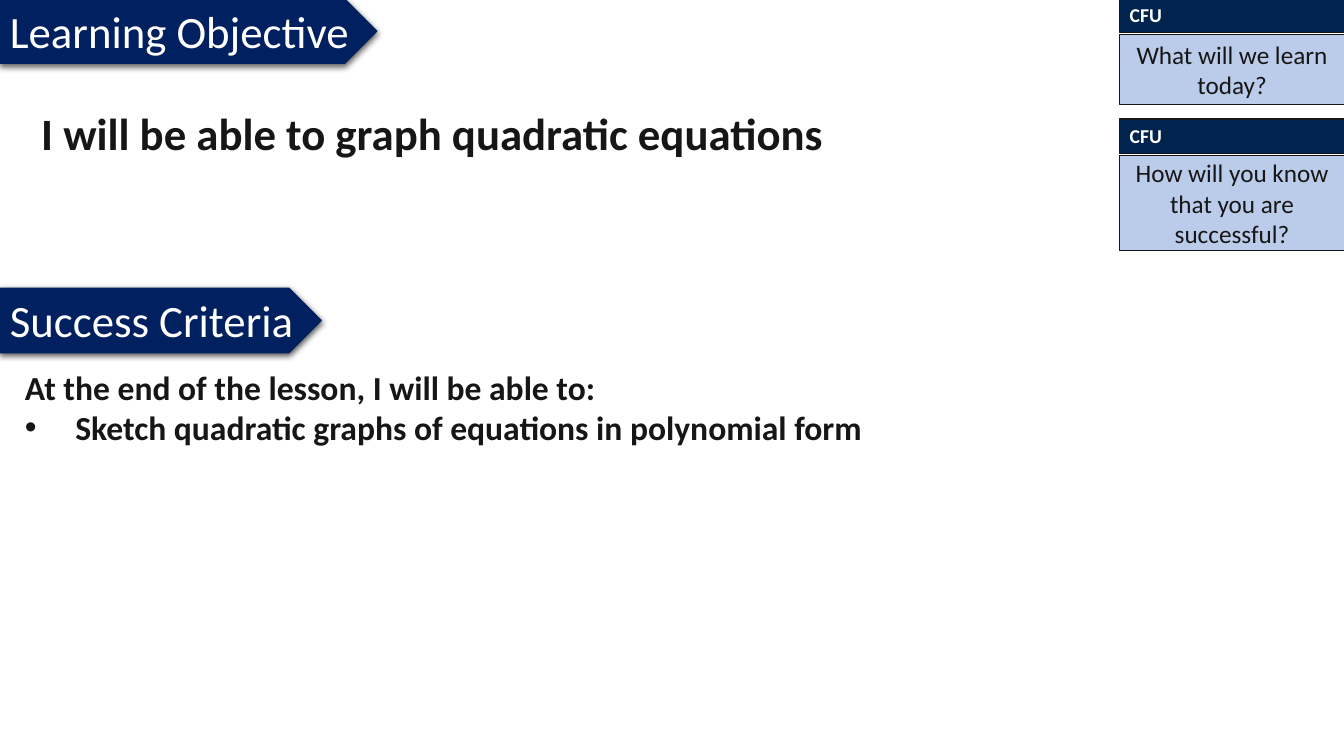
from dataclasses import dataclass

from lxml import etree
from pptx import Presentation
from pptx import util as u
from pptx.dml.color import RGBColor
from pptx.enum import shapes, text
from pptx.oxml import ns

COLORS = {
    "ink": "171616",
    "white": "FFFFFF",
    "banner": "002060",
    "header": "01244E",
    "question": "8FAADC",
    "shadow": "000000",
}
FONT = "Calibri"
CARD_LEFT, CARD_WIDTH = 28.22, 5.66
HEADER_HEIGHT, QUESTION_OFFSET = 0.86, 0.91


@dataclass
class Box:
    left: float
    top: float
    width: float
    height: float

    def lengths(self) -> list:
        return [u.Cm(v) for v in (self.left, self.top, self.width, self.height)]


@dataclass
class Style:
    size: int
    color: str
    bold: bool = False


@dataclass
class Banner:
    title: str
    box: Box


@dataclass
class Card:
    question: str
    top: float
    height: float


HEADING = Style(32, "white")
OBJECTIVE = Style(32, "ink", True)
CRITERIA = Style(24, "ink", True)
LABEL = Style(14, "white", True)
QUESTION = Style(18, "ink")

BANNERS = [
    Banner("Learning Objective", Box(0, -0.03, 9.5, 1.63)),
    Banner("Success Criteria", Box(0, 7.26, 8.1, 1.63)),
]
CARDS = [
    Card("What will we learn today?", -0.05, 1.78),
    Card("How will you know that you are successful?", 3, 2.41),
]


def rgb(name: str) -> RGBColor:
    return RGBColor.from_string(COLORS[name])


def add_run(p, words: str, style: Style) -> None:
    r = p.add_run()
    r.text = words
    r.font.name = FONT
    r.font.size = u.Pt(style.size)
    r.font.bold = style.bold
    r.font.color.rgb = rgb(style.color)


def add_panel(parent, kind, box: Box, fill: str, line: str, words: str,
              style: Style, align, anchor):
    sp = parent.add_shape(kind, *box.lengths())
    sp.shadow.inherit = False
    sp.fill.solid()
    sp.fill.fore_color.rgb = rgb(fill)
    sp.line.color.rgb = rgb(line)
    sp.line.width = u.Pt(0.75)
    tf = sp.text_frame
    tf.word_wrap = True
    tf.vertical_anchor = anchor
    p = tf.paragraphs[0]
    p.alignment = align
    add_run(p, words, style)
    return sp


def add_card(s, card: Card) -> None:
    group = s.shapes.add_group_shape().shapes
    rect = shapes.MSO_SHAPE.RECTANGLE
    add_panel(group, rect, Box(CARD_LEFT, card.top, CARD_WIDTH, HEADER_HEIGHT),
              "header", "ink", "CFU", LABEL,
              text.PP_ALIGN.LEFT, text.MSO_ANCHOR.TOP)
    sp = add_panel(group, rect,
                   Box(CARD_LEFT, card.top + QUESTION_OFFSET, CARD_WIDTH, card.height),
                   "question", "ink", card.question, QUESTION,
                   text.PP_ALIGN.CENTER, text.MSO_ANCHOR.MIDDLE)
    fill_color = sp._element.spPr.find(ns.qn("a:solidFill"))[0]
    etree.SubElement(fill_color, ns.qn("a:alpha"), val="60000")


def add_banner(s, banner: Banner) -> None:
    sp = add_panel(s.shapes, shapes.MSO_SHAPE.PENTAGON, banner.box, "banner", "banner",
                   banner.title, HEADING, text.PP_ALIGN.LEFT, text.MSO_ANCHOR.TOP)
    sp.text_frame.word_wrap = False
    effects = sp._element.spPr.find(ns.qn("a:effectLst"))
    shadow = etree.SubElement(effects, ns.qn("a:outerShdw"), blurRad=str(u.Pt(4.5)),
                              dist=str(u.Pt(1.5)), dir="5400000", rotWithShape="0")
    color = etree.SubElement(shadow, ns.qn("a:srgbClr"), val=COLORS["shadow"])
    etree.SubElement(color, ns.qn("a:alpha"), val="63000")


def add_text(s, box: Box, lines: list[str], style: Style) -> None:
    tf = s.shapes.add_textbox(*box.lengths()).text_frame
    tf.word_wrap = True
    for i, words in enumerate(lines):
        p = tf.add_paragraph() if i else tf.paragraphs[0]
        if i:
            pPr = p._p.get_or_add_pPr()
            indent = u.Cm(1.27)
            pPr.set("marL", str(indent))
            pPr.set("indent", str(-indent))
            etree.SubElement(pPr, ns.qn("a:buFont"), typeface="Arial")
            etree.SubElement(pPr, ns.qn("a:buChar"), char="•")
        add_run(p, words, style)


def main() -> None:
    prs = Presentation()
    prs.slide_width, prs.slide_height = u.Cm(33.87), u.Cm(19.05)
    s = prs.slides.add_slide(prs.slide_layouts[6])
    add_text(s, Box(0.79, 2.54, 24.92, 1.63),
             ["I will be able to graph quadratic equations"], OBJECTIVE)
    add_text(s, Box(0.38, 9.12, 30.48, 2.31),
             ["At the end of the lesson, I will be able to:",
              "Sketch quadratic graphs of equations in polynomial form"], CRITERIA)
    for card in CARDS:
        add_card(s, card)
    for banner in BANNERS:
        add_banner(s, banner)
    prs.save("out.pptx")


if __name__ == "__main__":
    main()
